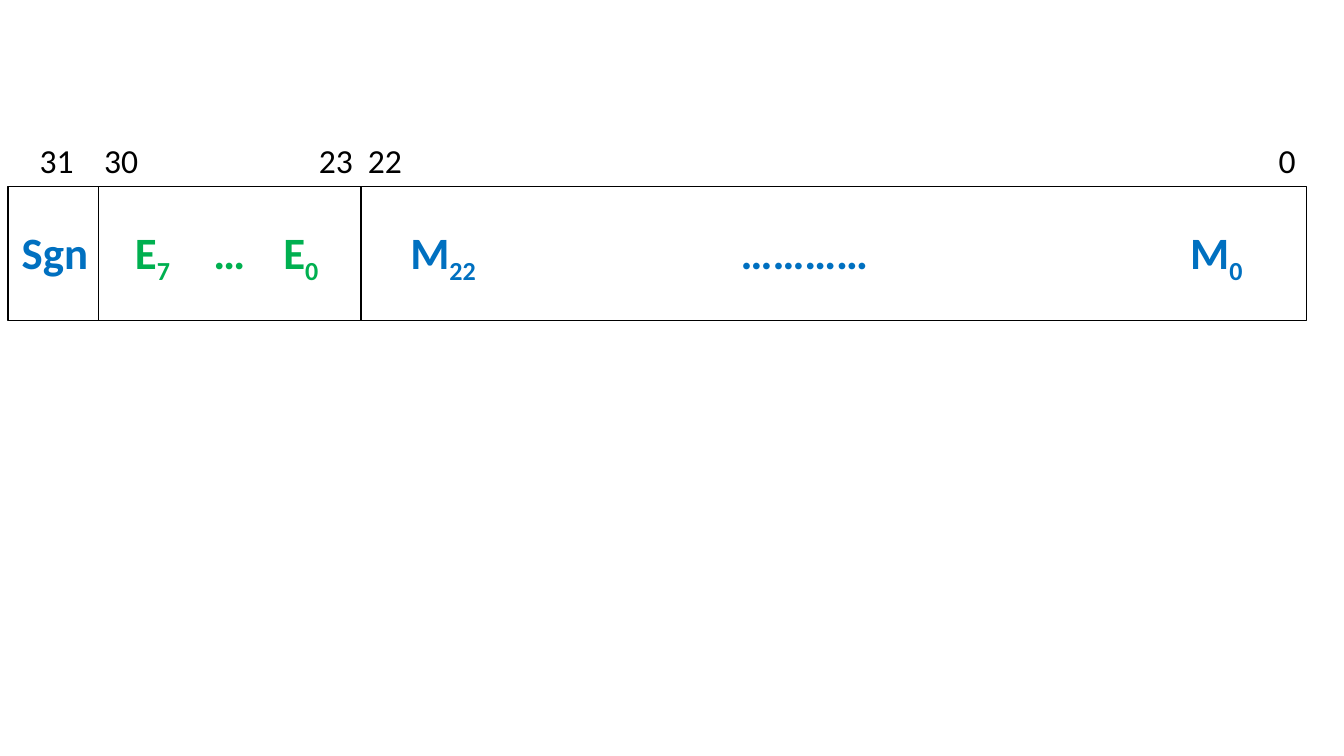
import pptx
import pptx.dml.color
import pptx.enum.shapes
import pptx.enum.text
import pptx.util
import lxml.etree

Pt = pptx.util.Pt
FIELD_TOP, FIELD_HEIGHT = 133.2, 95.76
BLUE, GREEN, BLACK = "0070C0", "00B050", "000000"
FIELDS = [
    dict(box=(5.76, 64.8), label=(7.92, 62.64), color=BLUE,
         spans=[("Sgn", False)], tabs=[]),
    dict(box=(70.56, 187.2), label=(89.28, 149.76), color=GREEN,
         spans=[("E", False), ("7", True), ("\t…\tE", False), ("0", True)],
         tabs=[56, 106]),
    dict(box=(257.76, 675.36), label=(276.48, 631.44), color=BLUE,
         spans=[("\tM", False), ("22", True), ("\t…………\tM", False), ("0", True)],
         tabs=[9.5, 245.5, 566.5]),
]
BIT_NUMBERS = "\t31\t30\t23\t22\t0"
BIT_TABS = [15.5, 61.5, 215, 250, 900.5]


def color(value):
    return pptx.dml.color.RGBColor.from_string(value)


def add_text(page, box, spans, tabs, formats, hue):
    frame = page.shapes.add_textbox(*map(Pt, box)).text_frame
    frame.word_wrap = bool(tabs)
    para = frame.paragraphs[0]
    if tabs:
        properties = para._p.get_or_add_pPr()
        namespace = "{%s}" % properties.nsmap["a"]
        tab_list = lxml.etree.SubElement(properties, namespace + "tabLst")
        for stop in tabs:
            lxml.etree.SubElement(tab_list, namespace + "tab",
                                  pos=str(int(Pt(stop))), algn="l")
    else:
        para.alignment = pptx.enum.text.PP_ALIGN.CENTER
    for text, subscript in spans:
        span = para.add_run()
        span.text = text
        for name, value in formats.items():
            setattr(span.font, name, value)
        span.font.color.rgb = color(hue)
        if subscript:
            span._r.get_or_add_rPr().set("baseline", "-25000")


def add_field(page, field):
    left, width = field["box"]
    cell = page.shapes.add_shape(
        pptx.enum.shapes.MSO_SHAPE.RECTANGLE,
        *map(Pt, (left, FIELD_TOP, width, FIELD_HEIGHT)))
    cell.shadow.inherit = False
    cell.fill.background()
    cell.line.color.rgb = color(BLACK)
    cell.line.width = Pt(1)
    left, width = field["label"]
    add_text(page, (left, FIELD_TOP + 23.76, width, 46.08), field["spans"],
             field["tabs"], dict(name="Calibri", size=Pt(32), bold=True),
             field["color"])


def add_bit_numbers(page, left, width):
    add_text(page, (left, FIELD_TOP - 36.72, width, 36), [(BIT_NUMBERS, False)],
             BIT_TABS, dict(name="Calibri", size=Pt(24)), BLACK)


def main():
    deck = pptx.Presentation()
    deck.slide_width, deck.slide_height = Pt(960), Pt(540)
    page = deck.slides.add_slide(deck.slide_layouts[6])
    for field in FIELDS:
        add_field(page, field)
    add_bit_numbers(page, 5.76, 941.04)
    deck.save("out.pptx")


if __name__ == "__main__":
    main()
